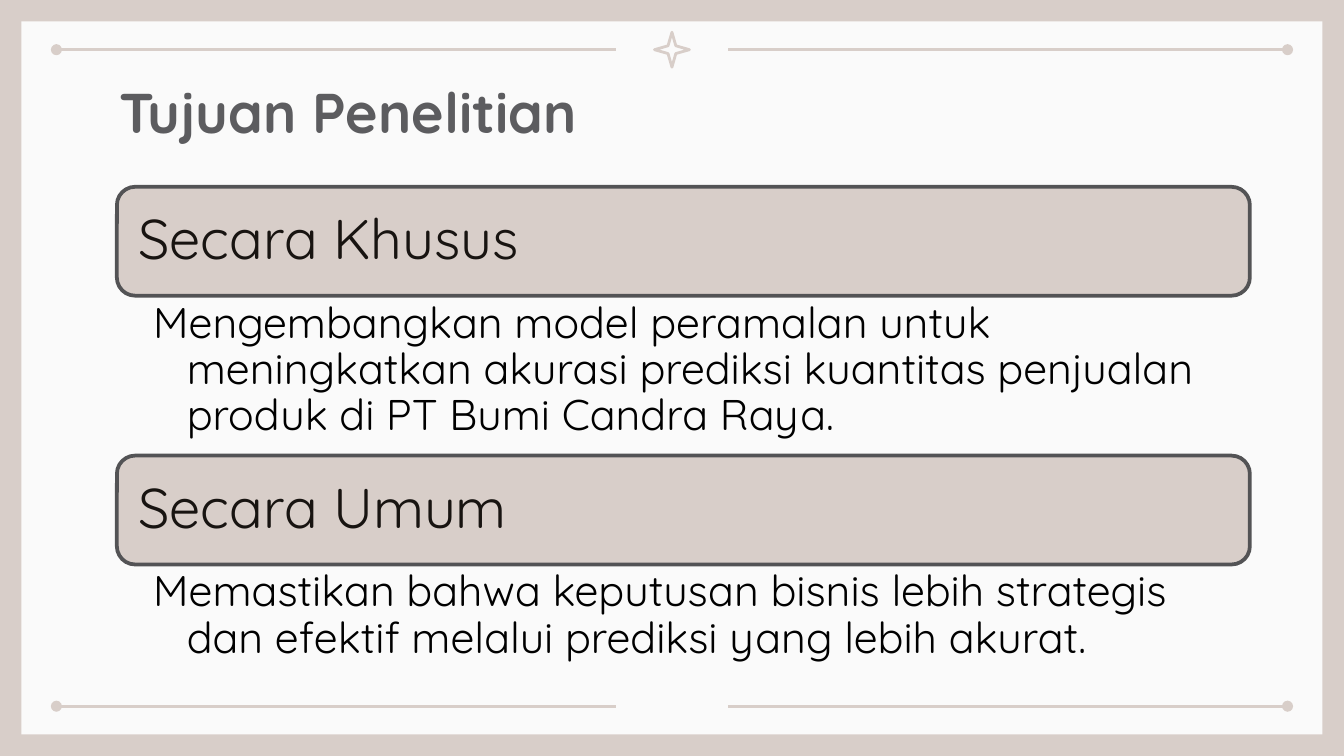
from lxml import etree
from pptx import Presentation
from pptx.dml.color import RGBColor
from pptx.enum.shapes import MSO_CONNECTOR, MSO_SHAPE
from pptx.enum.text import MSO_ANCHOR
from pptx.oxml.ns import qn
from pptx.util import Inches, Pt

RECT, ROUND, STAR = MSO_SHAPE.RECTANGLE, MSO_SHAPE.ROUNDED_RECTANGLE, MSO_SHAPE.STAR_4_POINT
STRAIGHT = MSO_CONNECTOR.STRAIGHT
TOP, MIDDLE = MSO_ANCHOR.TOP, MSO_ANCHOR.MIDDLE

WIDE = 10
HIGH = WIDE * 9 / 16
FONT = "Quicksand"
SAND, PAPER, EDGE = "D8CEC9", "FAFAFA", "535355"
GREY, INK, BLACK = "5C5C5F", "181411", "000000"

GOALS = [
    ("Secara Khusus",
     "Mengembangkan model peramalan untuk meningkatkan akurasi prediksi "
     "kuantitas penjualan produk di PT Bumi Candra Raya."),
    ("Secara Umum",
     "Memastikan bahwa keputusan bisnis lebih strategis dan efektif "
     "melalui prediksi yang lebih akurat."),
]


def color(code):
    return RGBColor.from_string(code)


def add_shape(slide, kind, box, fill=None, line=None, width=1.5):
    shape = slide.shapes.add_shape(kind, *map(Inches, box))
    shape.shadow.inherit = False
    if fill:
        shape.fill.solid()
        shape.fill.fore_color.rgb = color(fill)
    else:
        shape.fill.background()
    if line:
        shape.line.color.rgb = color(line)
        shape.line.width = Pt(width)
    else:
        shape.line.fill.background()
    return shape


def add_box(slide, box):
    return slide.shapes.add_textbox(*map(Inches, box))


def write(shape, text, size, ink, inset, anchor=TOP, bold=False, space=1.0, hang=0):
    """Fill a shape with one paragraph; inset is left, top, right, bottom."""
    frame = shape.text_frame
    frame.word_wrap = True
    frame.vertical_anchor = anchor
    (frame.margin_left, frame.margin_top,
     frame.margin_right, frame.margin_bottom) = map(Inches, inset)
    para = frame.paragraphs[0]
    para.text = text
    para.line_spacing = space
    props = para._p.get_or_add_pPr()
    props.set("algn", "l")
    if hang:
        props.set("marL", str(Inches(hang)))
        props.set("indent", str(-Inches(hang)))
    font = para.font
    font.name, font.size, font.bold = FONT, Pt(size), bold
    font.color.rgb = color(ink)


def add_rail(slide, left, right, y, dot):
    """Draw a level line with a dot at its headEnd or tailEnd."""
    rail = slide.shapes.add_connector(
        STRAIGHT, Inches(left), Inches(y), Inches(right), Inches(y))
    rail.line.color.rgb = color(SAND)
    rail.line.width = Pt(1.5)
    etree.SubElement(rail.line._get_or_add_ln(), qn("a:" + dot), type="oval")
    etree.SubElement(rail._element.spPr, qn("a:effectLst"))


def add_frame(slide, wide, high):
    edge, gap, side, rise = 0.16, 0.42, 0.42, 0.37
    add_shape(slide, RECT, (edge, edge, wide - 2 * edge, high - 2 * edge), PAPER)
    mid = wide / 2
    for y in (rise, high - rise):
        add_rail(slide, side, mid - gap, y, "headEnd")
        add_rail(slide, mid + gap, wide - side, y, "tailEnd")
    size = 0.26
    star = add_shape(slide, STAR, (mid - size / 2, rise - size / 2, size, size), line=SAND)
    star.adjustments[0] = 0.157


def add_title(slide, box, text):
    write(add_box(slide, box), text, 30, GREY, [0.1] * 4, bold=True)


def add_goals(slide, box, goals):
    """Stack equal rows, each a heading bar above its text."""
    left, top, wide, high = box
    step = high / len(goals)
    bar = 0.81
    for row, (head, body) in enumerate(goals):
        y = top + row * step
        card = add_shape(slide, ROUND, (left, y, wide, bar), SAND, EDGE, 2)
        card.adjustments[0] = 0.167
        write(card, head, 30, INK, [0.12] * 4, MIDDLE, space=0.9)
        note = add_box(slide, (left, y + bar, wide, step - bar))
        write(note, body, 23, BLACK, (0.27, 0.04, 0.23, 0.04), space=0.9, hang=0.25)


def main():
    deck = Presentation()
    deck.slide_width, deck.slide_height = Inches(WIDE), Inches(HIGH)
    slide = deck.slides.add_slide(deck.slide_layouts[6])
    slide.background.fill.solid()
    slide.background.fill.fore_color.rgb = color(SAND)
    add_frame(slide, WIDE, HIGH)
    add_title(slide, (0.79, 0.48, 8.43, 0.63), "Tujuan Penelitian")
    add_goals(slide, (0.87, 1.39, 8.43, 4), GOALS)
    deck.save("out.pptx")


if __name__ == "__main__":
    main()
